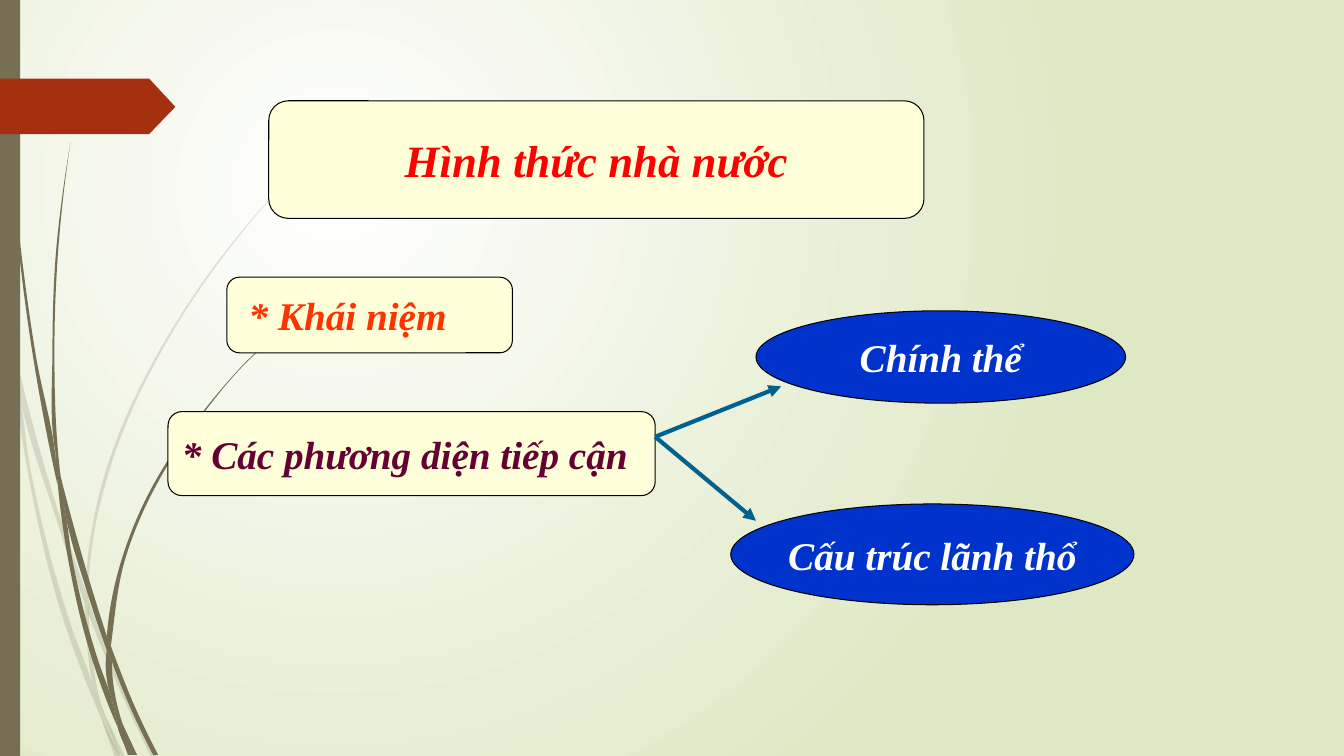
from dataclasses import dataclass

from lxml.etree import SubElement
from pptx import Presentation
from pptx.dml.color import RGBColor
from pptx.enum.shapes import MSO_CONNECTOR as Connector, MSO_SHAPE as Preset
from pptx.enum.text import MSO_ANCHOR as Anchor, PP_ALIGN as Align
from pptx.oxml.ns import qn
from pptx.util import Inches, Pt


@dataclass(frozen=True)
class Theme:
    """Colours, type sizes and line widths of the slide."""
    glow: str = "FFFFFF"
    ground: str = "DFE8C4"
    stem: str = "766F54"
    tag: str = "A53010"
    cream: str = "FFFFD9"
    blue: str = "0033CC"
    outline: str = "000000"
    arrow: str = "006090"
    title: str = "FF0000"
    concept: str = "FF3300"
    approach: str = "660033"
    branch: str = "FFFFFF"
    font: str = "Times New Roman"
    title_size: int = 32
    body_size: int = 28
    outline_width: float = 0.75
    arrow_width: int = 3


THEME = Theme()
COLUMNS, ROWS = 160, 90
CELL = Inches(1) / 12

PALE_BLADES = [
    ([(0, 2.82), (0, 2.99), (0.1, 3.44), (0.11, 3.5)], [(0, 2.82), (0.09, 3.22), (0.11, 3.5)]),
    ([(0.14, 3.45), (0.17, 3.76), (0.58, 5.22), (0.84, 5.99)],
     [(0.14, 3.45), (0.62, 5.2), (0.85, 5.86)]),
    ([(0.88, 6.1), (1.23, 6.94), (1.5, 7.51)],
     [(0.88, 5.96), (0.92, 6.07), (1.27, 6.92), (1.55, 7.51)]),
    ([(1.05, 7.11), (1.19, 7.51)], [(1.05, 7.11), (1.24, 7.51)]),
    ([(0.11, 3.5), (0.28, 4.7), (0.65, 6.21), (0.92, 6.93), (1.01, 7.14)],
     [(0.11, 3.5), (0.17, 3.76), (0.31, 4.69), (0.7, 6.19), (0.93, 6.83), (0.99, 7.07), (1.01, 7.14)]),
    ([(0.84, 5.99), (0.87, 6.46), (0.93, 6.83), (0.96, 6.92), (1.05, 7.11)],
     [(0.88, 6.08), (0.91, 6.46), (1.03, 7.06), (1.05, 7.11)]),
    ([(3.12, 1.53), (2.89, 1.75), (2.68, 1.97), (2.28, 2.44), (1.58, 3.48), (1.07, 4.61), (0.85, 5.86)],
     [(3.12, 1.54), (2.9, 1.75), (2.68, 1.98), (2.29, 2.45), (1.6, 3.49), (1.1, 4.62), (0.88, 5.84),
      (0.88, 5.96)]),
    ([(1.01, 7.14), (1.14, 7.51)], [(1.01, 7.14), (1.19, 7.51)]),
    ([(0.85, 5.86), (0.84, 5.99)], [(0.85, 5.86), (0.88, 5.96), (0.88, 6.1)]),
    ([(0.93, 6.83), (0.99, 7.07), (1.01, 7.14), (1.19, 7.51)],
     [(0.93, 6.83), (0.96, 6.92), (1.05, 7.11), (1.19, 7.51)]),
]
DARK_BLADES = [
    ([(0.03, 0), (0.04, 0.48), (0.07, 1.1), (0.17, 2.33), (0.33, 3.55), (0.57, 4.81)],
     [(0.04, 0), (0.05, 0.48), (0.08, 1.09), (0.19, 2.32), (0.36, 3.55), (0.55, 4.53), (0.57, 4.81)]),
    ([(0.6, 4.72), (0.64, 5.05), (0.88, 5.92), (1.06, 6.45)],
     [(0.6, 4.72), (0.93, 5.9), (1.06, 6.31)]),
    ([(1.11, 6.56), (1.32, 7.08), (1.52, 7.49)],
     [(1.1, 6.41), (1.13, 6.49), (1.36, 7.06), (1.57, 7.49)]),
    ([(0.57, 4.77), (0.68, 5.57), (0.93, 6.59), (1.11, 7.08), (1.17, 7.22)],
     [(0.57, 4.77), (0.64, 5.05), (0.72, 5.56), (0.98, 6.57), (1.1, 6.91), (1.16, 7.17), (1.17, 7.22)]),
    ([(0.7, 1.41), (0.62, 1.93), (0.56, 2.45), (0.52, 3.49), (0.55, 4.49), (0.6, 4.72)],
     [(0.7, 1.41), (0.63, 1.93), (0.58, 2.45), (0.54, 3.49), (0.58, 4.53), (0.6, 4.72)]),
    ([(1.22, 7.19), (1.33, 7.49)], [(1.22, 7.19), (1.36, 7.49)]),
    ([(0.55, 4.49), (0.57, 4.77), (0.64, 5.05)], [(0.55, 4.49), (0.6, 4.72), (0.64, 5.05)]),
    ([(2.6, 3.44), (2.45, 3.58), (2.31, 3.73), (2.04, 4.05), (1.56, 4.74), (1.22, 5.51), (1.06, 6.31)],
     [(2.61, 3.44), (2.45, 3.59), (2.31, 3.74), (2.05, 4.06), (1.58, 4.76), (1.25, 5.52), (1.11, 6.33),
      (1.1, 6.41)]),
    ([(1.17, 7.22), (1.27, 7.49)], [(1.17, 7.22), (1.31, 7.49)]),
    ([(1.06, 6.45), (1.1, 6.91), (1.16, 7.06), (1.22, 7.19)],
     [(1.11, 6.56), (1.21, 7.16), (1.22, 7.19)]),
    ([(1.06, 6.31), (1.06, 6.45)], [(1.06, 6.31), (1.1, 6.41), (1.11, 6.56)]),
    ([(1.1, 6.91), (1.16, 7.17), (1.17, 7.22), (1.3, 7.49)],
     [(1.1, 6.91), (1.16, 7.06), (1.22, 7.19), (1.33, 7.49)]),
]
TAG_OUTLINE = [(0, 0.78), (1.48, 0.78), (1.74, 1.06), (1.48, 1.33), (0, 1.33)]


def cells(*lengths):
    """Turn grid counts into slide lengths."""
    return [round(length * CELL) for length in lengths]


def colour(name):
    """Look up a theme colour."""
    return RGBColor.from_string(getattr(THEME, name))


def paint(shape, fill, outlined=False):
    """Give a shape a flat fill and an optional outline."""
    shape.shadow.inherit = False
    shape.fill.solid()
    shape.fill.fore_color.rgb = colour(fill)
    if outlined:
        shape.line.color.rgb = colour("outline")
        shape.line.width = Pt(THEME.outline_width)
    else:
        shape.line.fill.background()


def paint_background(slide):
    """Fill the slide with a glow around its upper left quarter."""
    fill = slide.background.fill
    fill.gradient()
    for stop, name in zip(fill.gradient_stops, ("glow", "ground")):
        stop.color.rgb = colour(name)
    gradient = next(slide.element.iter(qn("a:gradFill")))
    gradient.remove(gradient.find(qn("a:lin")))
    circle = SubElement(gradient, qn("a:path"), {"path": "circle"})
    SubElement(circle, qn("a:fillToRect"),
               {"l": "50000", "t": "50000", "r": "100000", "b": "100000"})


def curve_points(edge):
    """List the Bezier points of a smooth curve running down an edge."""
    gaps = [b[1] - a[1] for a, b in zip(edge, edge[1:])]
    chords = [(b[0] - a[0]) / gap for a, b, gap in zip(edge, edge[1:], gaps)]
    inner = [(chords[i] * gaps[i + 1] + chords[i + 1] * gaps[i]) / (gaps[i] + gaps[i + 1])
             for i in range(len(gaps) - 1)]
    first = 2 * chords[0] - inner[0] if inner else chords[0]
    last = 2 * chords[-1] - inner[-1] if inner else chords[0]
    slopes = [first, *inner, last]
    points = [edge[0]]
    for i, gap in enumerate(gaps):
        (x0, y0), (x1, y1), third = edge[i], edge[i + 1], gap / 3
        points += [(x0 + slopes[i] * third, y0 + third),
                   (x1 - slopes[i + 1] * third, y1 - third), (x1, y1)]
    return points


def add_outline(slide, points, fill):
    """Draw a filled polygon through points in inches."""
    corners = [(Inches(x), Inches(y)) for x, y in points]
    builder = slide.shapes.build_freeform(*corners[0], scale=1.0)
    builder.add_line_segments(corners[1:], close=True)
    shape = builder.convert_to_shape()
    paint(shape, fill)
    return shape


def add_blade(slide, left_edge, right_edge, opacity=None):
    """Draw one piece of grass between two curved edges."""
    left, right = curve_points(left_edge), curve_points(right_edge)[::-1]
    shared_tip = left[-1] == right[0]
    blade = add_outline(slide, left + right[shared_tip:], "stem")
    segments = list(blade.element.spPr.iter(qn("a:lnTo")))
    curved = segments[:len(left) - 1] + segments[1 - len(right):]
    for i in range(0, len(curved), 3):
        bend = curved[i].makeelement(qn("a:cubicBezTo"))
        curved[i].addprevious(bend)
        for segment in curved[i:i + 3]:
            bend.append(segment[0])
            segment.getparent().remove(segment)
    if opacity:
        tint = next(blade.element.spPr.iter(qn("a:srgbClr")))
        SubElement(tint, qn("a:alpha"), {"val": str(opacity * 1000)})


def add_decoration(slide, width, height):
    """Draw the grass, the left bar and the page tag."""
    for edges in PALE_BLADES:
        add_blade(slide, *edges, opacity=20)
    for edges in DARK_BLADES:
        add_blade(slide, *edges)
    bar = slide.shapes.add_shape(Preset.RECTANGLE, 0, 0, round(width * 0.015), height)
    paint(bar, "stem")
    add_outline(slide, TAG_OUTLINE, "tag")


def add_label(slide, preset, box, fill, text, ink, size=THEME.body_size,
              align=Align.CENTER, inset=0.1):
    """Place a filled shape with one line of bold italic text."""
    label = slide.shapes.add_shape(preset, *cells(*box))
    paint(label, fill, outlined=True)
    frame = label.text_frame
    frame.word_wrap = False
    frame.vertical_anchor = Anchor.MIDDLE
    frame.margin_left = Inches(inset)
    paragraph = frame.paragraphs[0]
    paragraph.alignment = align
    run = paragraph.add_run()
    run.text = text
    font = run.font
    font.name, font.size = THEME.font, Pt(size)
    font.bold = font.italic = True
    font.color.rgb = colour(ink)


def add_arrow(slide, start, end):
    """Draw an arrow between two grid points."""
    arrow = slide.shapes.add_connector(Connector.STRAIGHT, *cells(*start, *end))
    arrow.line.color.rgb = colour("arrow")
    arrow.line.width = Pt(THEME.arrow_width)
    SubElement(arrow.line._get_or_add_ln(), qn("a:tailEnd"), {"type": "triangle"})
    SubElement(arrow.element.spPr, qn("a:effectLst"))


def add_diagram(slide):
    """Place the title, the two topics and the branches of the second one."""
    card = Preset.FLOWCHART_ALTERNATE_PROCESS
    add_label(slide, card, (27, 33, 34, 9), "cream", "* Khái niệm", "concept",
              align=Align.LEFT, inset=0.18)
    add_label(slide, card, (20, 49, 58, 10), "cream",
              "* Các phương diện tiếp cận", "approach", align=Align.LEFT)
    add_label(slide, Preset.OVAL, (90, 37, 44, 11), "blue", "Chính thể", "branch")
    add_label(slide, Preset.OVAL, (87, 60, 48, 12), "blue", "Cấu trúc lãnh thổ", "branch")
    for tip in ((93, 46), (90, 62)):
        add_arrow(slide, (78, 52), tip)
    add_label(slide, card, (32, 12, 78, 14), "cream", "Hình thức nhà nước",
              "title", THEME.title_size)


def main():
    """Build and save the slide."""
    presentation = Presentation()
    width, height = cells(COLUMNS, ROWS)
    presentation.slide_width, presentation.slide_height = width, height
    slide = presentation.slides.add_slide(presentation.slide_layouts[6])
    paint_background(slide)
    add_decoration(slide, width, height)
    add_diagram(slide)
    presentation.save("out.pptx")


if __name__ == "__main__":
    main()
